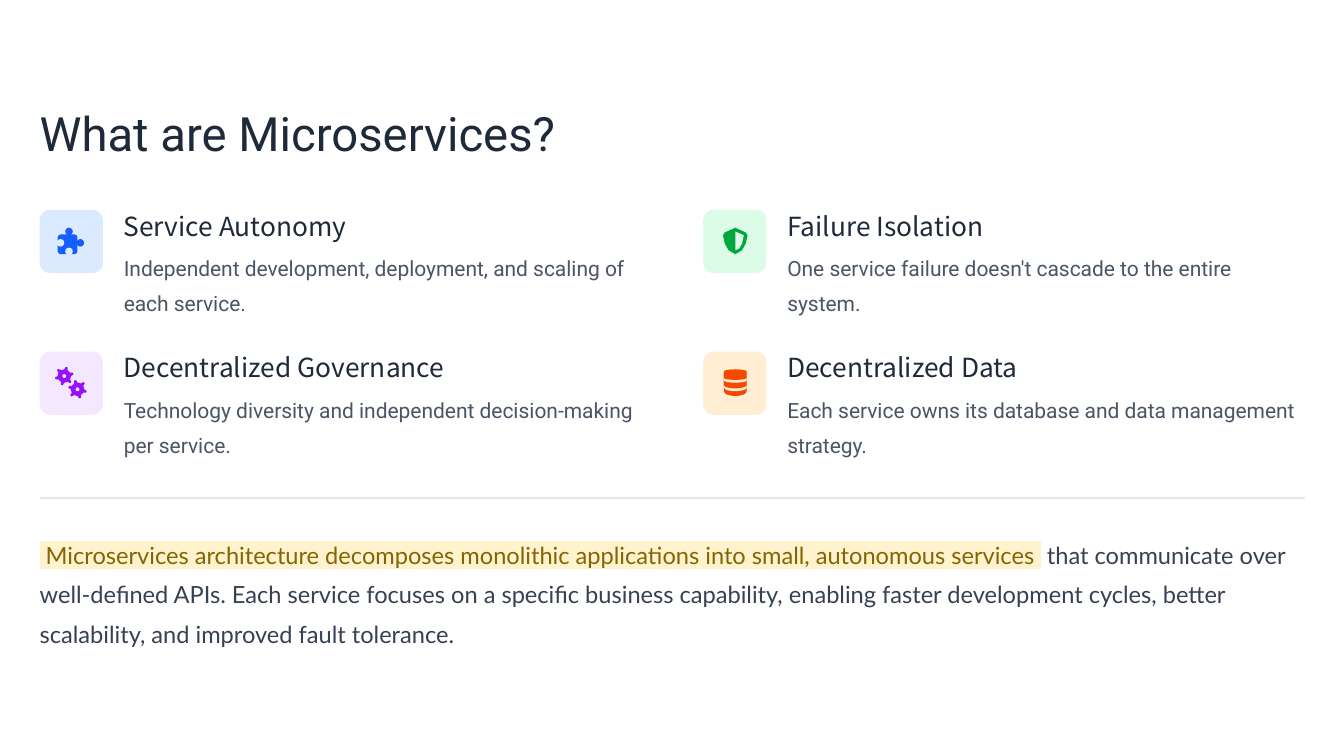
from lxml import etree
from pptx import Presentation
from pptx import util as u
from pptx.dml.color import RGBColor
from pptx.enum import shapes, text
from pptx.oxml.ns import qn

deck = Presentation()
deck.slide_width, deck.slide_height = u.Inches(14.22), u.Inches(8)
page = deck.slides.add_slide(deck.slide_layouts[6])

# Grid: two columns and two rows of features
LEFT, COLUMN = 0.42, 7.02
TOP, ROW = 2.22, 1.5
TILE, INDENT = 0.67, 0.89
WIDTH = 13.39

# Text formats
TITLE = {"size": u.Pt(36), "name": "Roboto", "color": "1E2939"}
HEADING = {"size": u.Pt(20), "name": "Noto Sans CJK SC", "color": "1E2939"}
BODY = {"size": u.Pt(16), "name": "Roboto", "color": "4A5565"}
MARKED = {"size": u.Pt(18), "name": "Lato", "color": "856404"}
SUMMARY = {**MARKED, "color": "364153"}


def paint(shape, color):
    shape.shadow.inherit = False
    shape.fill.solid()
    shape.fill.fore_color.rgb = RGBColor.from_string(color)
    shape.line.fill.background()


def write(left, top, width, height, spacing, *parts):
    box = page.shapes.add_textbox(*map(u.Inches, (left, top, width, height)))
    frame = box.text_frame
    frame.word_wrap = True
    frame.vertical_anchor = text.MSO_ANCHOR.MIDDLE
    for side in ("left", "top", "right", "bottom"):
        setattr(frame, f"margin_{side}", 0)
    para = frame.paragraphs[0]
    para.line_spacing = spacing
    for words, style in parts:
        span = para.add_run()
        span.text = words
        for key, value in style.items():
            if key == "color":
                span.font.color.rgb = RGBColor.from_string(value)
            else:
                setattr(span.font, key, value)
    return para


# Icon parts: preset, place inside the tile, rotation, and whether it is cut out
kinds = shapes.MSO_SHAPE
KNOB = 0.08
puzzle = [
    (kinds.ROUNDED_RECTANGLE, 0.19, 0.26, 0.21, 0.21, 0, False),
    (kinds.OVAL, 0.27, 0.19, KNOB, KNOB, 0, False),
    (kinds.OVAL, 0.39, 0.31, KNOB, KNOB, 0, False),
    (kinds.OVAL, 0.18, 0.31, KNOB, KNOB, 0, True),
    (kinds.OVAL, 0.27, 0.4, KNOB, KNOB, 0, True),
]
gears = []
for center, turn in ((0.26, 15), (0.4, 45)):
    gears.append((kinds.GEAR_6, center - 0.1, center - 0.1, 0.2, 0.2, turn, False))
    gears.append((kinds.OVAL, center - 0.02, center - 0.02, 0.04, 0.04, 0, True))
database = [
    (kinds.FLOWCHART_MAGNETIC_DISK, 0.22, 0.19, 0.24, height, 0, index % 2 == 1)
    for index, height in enumerate((0.28, 0.23, 0.2, 0.14, 0.11))
]

# Shield outlines: whole shield, then the cut-out right half
shield = [
    ([(0.34, 0.19), (0.45, 0.24), (0.47, 0.27), (0.45, 0.36), (0.41, 0.43),
      (0.34, 0.47), (0.27, 0.43), (0.23, 0.36), (0.21, 0.27), (0.23, 0.24)], False),
    ([(0.34, 0.23), (0.43, 0.27), (0.41, 0.36), (0.38, 0.41), (0.34, 0.43)], True),
]

features = [
    ("Service Autonomy", "Independent development, deployment, and scaling of each service.",
     "DBEAFE", "155DFC", puzzle, []),
    ("Failure Isolation", "One service failure doesn't cascade to the entire system.",
     "DCFCE7", "00A63E", [], shield),
    ("Decentralized Governance",
     "Technology diversity and independent decision-making per service.",
     "F3E8FF", "9810FA", gears, []),
    ("Decentralized Data", "Each service owns its database and data management strategy.",
     "FFEDD4", "F54900", database, []),
]

# Title
write(LEFT, 1.16, 13.94, 0.56, 0.9, ("What are Microservices?", TITLE))

# Features
for index, (heading, body, pale, strong, presets, outlines) in enumerate(features):
    row, column = divmod(index, 2)
    left, top = LEFT + column * COLUMN, TOP + row * ROW
    tile = page.shapes.add_shape(
        kinds.ROUNDED_RECTANGLE, *map(u.Inches, (left, top, TILE, TILE)))
    tile.adjustments[0] = 0.17
    paint(tile, pale)

    for kind, x, y, width, height, turn, cut in presets:
        part = page.shapes.add_shape(
            kind, *map(u.Inches, (left + x, top + y, width, height)))
        part.rotation = turn
        paint(part, pale if cut else strong)
    for points, cut in outlines:
        corners = [(u.Inches(left + x), u.Inches(top + y)) for x, y in points]
        builder = page.shapes.build_freeform(*corners[0])
        builder.add_line_segments(corners[1:], close=True)
        paint(builder.convert_to_shape(), pale if cut else strong)

    write(left + INDENT, top - 0.06, 6.03, 0.39, 1.2, (heading, HEADING))
    write(left + INDENT, top + 0.39, 5.47, 0.72, 1.4, (body, BODY))

# Divider
divider = page.shapes.add_connector(
    shapes.MSO_CONNECTOR.STRAIGHT,
    *map(u.Inches, (LEFT, 5.27, LEFT + WIDTH, 5.27)))
divider.line.color.rgb = RGBColor.from_string("E5E7EB")
divider.line.width = u.Pt(1)
etree.SubElement(divider._element.spPr, qn("a:effectLst"))

# Summary with a highlighted opening
para = write(
    LEFT, 5.62, WIDTH, 1.22, 1.4,
    (" Microservices architecture decomposes monolithic applications into small, "
     "autonomous services ", MARKED),
    (" that communicate over well-defined APIs. Each service focuses on a specific "
     "business capability, enabling faster development cycles, better scalability, "
     "and improved fault tolerance.", SUMMARY))
highlight = etree.Element(qn("a:highlight"))
etree.SubElement(highlight, qn("a:srgbClr")).set("val", "FEF3CD")
para.runs[0]._r.rPr.find(qn("a:solidFill")).addnext(highlight)

deck.save("out.pptx")
